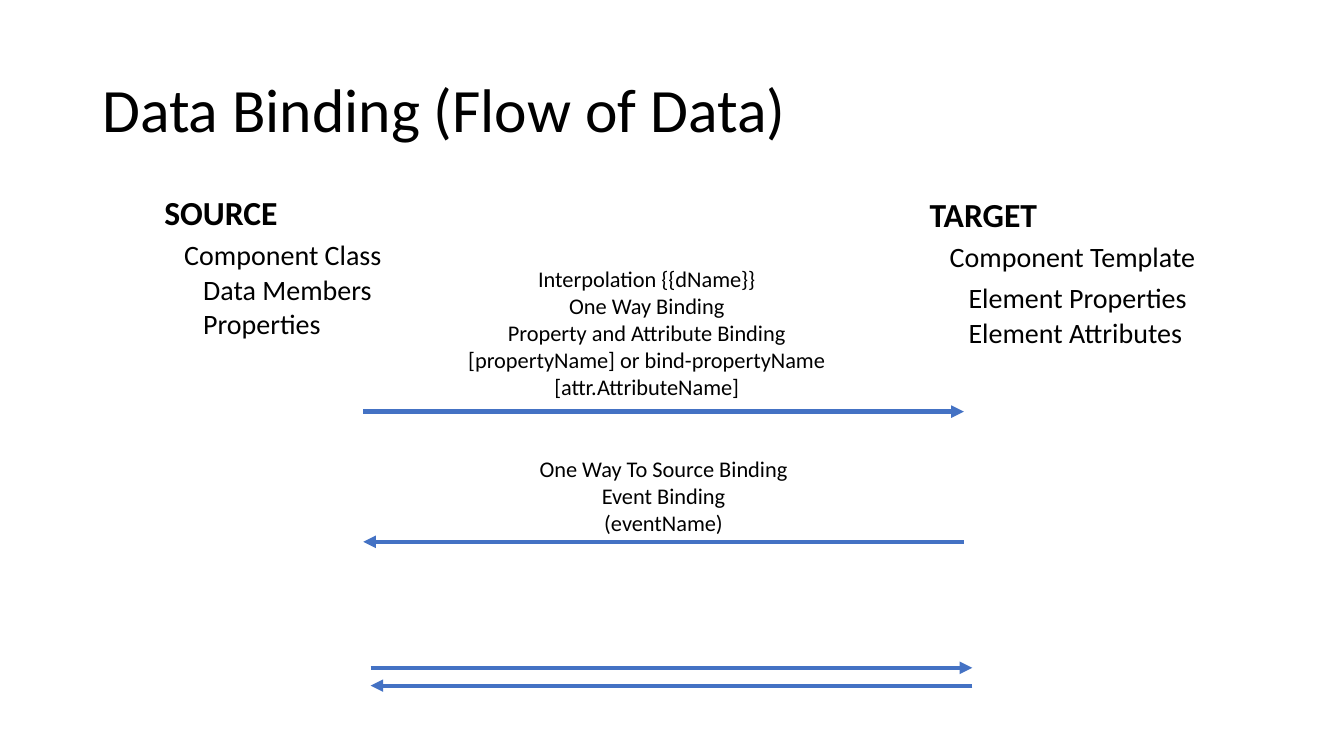
from lxml.etree import SubElement
from pptx import Presentation
from pptx.dml.color import RGBColor
from pptx.enum.shapes import MSO_CONNECTOR
from pptx.enum.text import MSO_ANCHOR, PP_ALIGN
from pptx.oxml.ns import qn
from pptx.util import Pt

PX = 9525
BLACK = RGBColor(0x00, 0x00, 0x00)
BLUE = RGBColor(0x44, 0x72, 0xC4)
LEVEL_INDENTS = (0, 19, 37)

HEADING = {"size": Pt(44)}
SIDE_NAME = {"size": Pt(24), "bold": True}
SIDE_ITEM = {"size": Pt(20)}
LABEL = {"size": Pt(16)}
TALL_LINE = {"space_before": Pt(4), "space_after": Pt(1)}
CENTERED = {"alignment": PP_ALIGN.CENTER}


def apply_format(target, values):
    for name, value in values.items():
        setattr(target, name, value)


def add_text_frame(slide, box, **frame_format):
    frame = slide.shapes.add_textbox(*(length * PX for length in box)).text_frame
    apply_format(frame, {"word_wrap": False, **frame_format})
    return frame


def add_line(frame, index, text, font_format, paragraph_format):
    paragraph = frame.add_paragraph() if index else frame.paragraphs[0]
    apply_format(paragraph, paragraph_format)
    run = paragraph.add_run()
    run.text = text
    apply_format(run.font, {"name": "Calibri", **font_format})
    run.font.color.rgb = BLACK
    return paragraph


def add_title(slide, box, heading):
    frame = add_text_frame(slide, box, word_wrap=True, vertical_anchor=MSO_ANCHOR.MIDDLE)
    add_line(frame, 0, heading, HEADING, {"line_spacing": 0.9})


def add_side(slide, box, entries):
    frame = add_text_frame(slide, box)
    for index, (level, text, spacing) in enumerate(entries):
        font_format = SIDE_ITEM if level else SIDE_NAME
        paragraph = add_line(frame, index, text, font_format, spacing)
        paragraph._p.get_or_add_pPr().set("marL", str(LEVEL_INDENTS[level] * PX))


def add_label(slide, box, lines):
    frame = add_text_frame(slide, box)
    for index, text in enumerate(lines):
        add_line(frame, index, text, LABEL, CENTERED)


def add_arrow(slide, start, end, y):
    arrow = slide.shapes.add_connector(
        MSO_CONNECTOR.STRAIGHT, start * PX, y * PX, end * PX, y * PX
    )
    arrow.line.width = Pt(3)
    arrow.line.color.rgb = BLUE
    SubElement(arrow.line._get_or_add_ln(), qn("a:tailEnd"), type="triangle")
    SubElement(arrow._element.spPr, qn("a:effectLst"))


def add_two_way(slide, box):
    left, top, width, height = box
    add_arrow(slide, left, left + width, top)
    add_arrow(slide, left + width, left, top + height)


def main():
    presentation = Presentation()
    apply_format(presentation, {"slide_width": 1280 * PX, "slide_height": 720 * PX})
    slide = presentation.slides.add_slide(presentation.slide_layouts[6])

    add_title(slide, (88, 38, 1104, 139), "Data Binding (Flow of Data)")
    add_side(slide, (147, 178, 228, 152), (
        (0, "SOURCE", {}),
        (1, "Component Class", TALL_LINE),
        (2, "Data Members", {}),
        (2, "Properties", {}),
    ))
    add_side(slide, (876, 180, 275, 158), (
        (0, "TARGET", {}),
        (1, "Component Template", TALL_LINE),
        (2, "Element Properties", TALL_LINE),
        (2, "Element Attributes", {}),
    ))

    add_arrow(slide, 346, 918, 392)
    add_arrow(slide, 918, 346, 516)
    add_two_way(slide, (353, 636, 573, 17))

    add_label(slide, (434, 248, 364, 139), (
        "Interpolation {{dName}}",
        "One Way Binding",
        "Property and Attribute Binding",
        "[propertyName] or bind-propertyName",
        "[attr.AttributeName]",
    ))
    add_label(slide, (503, 429, 258, 87), (
        "One Way To Source Binding",
        "Event Binding",
        "(eventName)",
    ))
    presentation.save("out.pptx")


if __name__ == "__main__":
    main()
